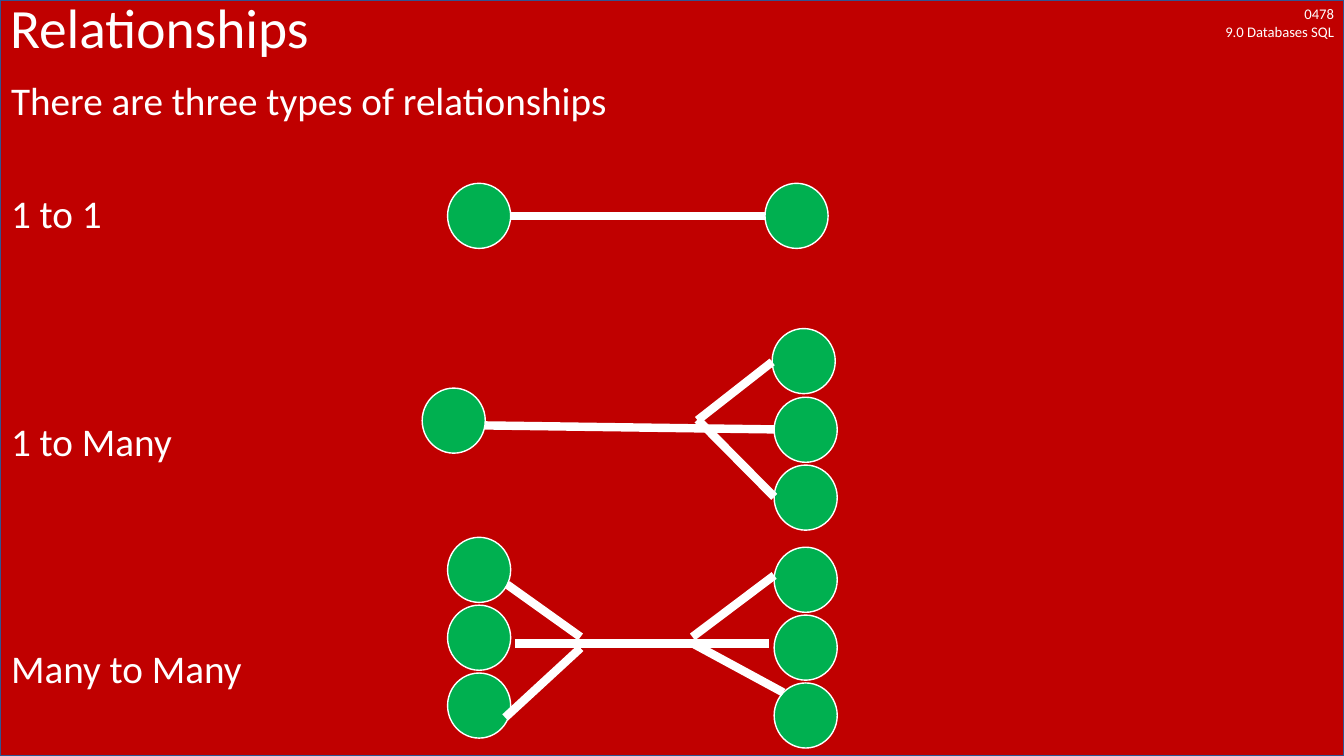
import pptx
import pptx.util
import pptx.dml.color
import pptx.enum.shapes
import pptx.enum.text
import pptx.oxml.ns
import lxml.etree

Cm = pptx.util.Cm
Pt = pptx.util.Pt
RGB = pptx.dml.color.RGBColor
SHAPE = pptx.enum.shapes.MSO_SHAPE
ALIGN = pptx.enum.text.PP_ALIGN

RED = RGB(0xC0, 0x00, 0x00)
BLUE = RGB(0x32, 0x54, 0x91)
GREEN = RGB(0x00, 0xB0, 0x50)
WHITE = RGB(0xFF, 0xFF, 0xFF)
WIDE, HIGH = Cm(33.87), Cm(19.05)

deck = pptx.Presentation()
deck.slide_width, deck.slide_height = WIDE, HIGH
slide = deck.slides.add_slide(deck.slide_layouts[5])
shapes = slide.shapes


def add_run(para, text, size):
    run = para.add_run()
    run.text = text
    run.font.name = "Calibri"
    run.font.size = Pt(size)
    run.font.color.rgb = WHITE


def add_form(kind, left, top, width, height, fill, line):
    form = shapes.add_shape(kind, left, top, width, height)
    form.shadow.inherit = False
    form.fill.solid()
    form.fill.fore_color.rgb = fill
    form.line.color.rgb = line
    form.line.width = Pt(1)
    return form


# Red backdrop, behind the title
title = shapes.title
back = add_form(SHAPE.RECTANGLE, 0, 0, WIDE, HIGH, RED, BLUE)
title.element.addprevious(back.element)

# Title
title.left, title.top, title.width, title.height = 0, 0, WIDE, Cm(1.55)
frame = title.text_frame
frame.auto_size = pptx.enum.text.MSO_AUTO_SIZE.NONE
frame.vertical_anchor = pptx.enum.text.MSO_ANCHOR.MIDDLE
para = frame.paragraphs[0]
para.alignment = ALIGN.LEFT
para.line_spacing = 0.9
add_run(para, "Relationships", 39.6)

# Course label
label = shapes.add_textbox(Cm(27.58), 0, Cm(6.29), Cm(1.15))
label.text_frame.word_wrap = True
para = label.text_frame.paragraphs[0]
para.alignment = ALIGN.RIGHT
add_run(para, "0478", 10.5)
para.add_line_break()
add_run(para, "9.0 Databases SQL", 10.5)

# Body text: each entry with the space above it in points
body = shapes.add_textbox(Cm(0.03), Cm(1.93), Cm(33.84), Cm(17.1))
frame = body.text_frame
frame.word_wrap = True
rows = [
    ("There are three types of relationships", 10),
    ("1 to 1", 50.8),
    ("1 to Many", 132.3),
    ("Many to Many", 132.3),
]
for i, (text, gap) in enumerate(rows):
    para = frame.add_paragraph() if i else frame.paragraphs[0]
    para.line_spacing = 0.9
    para.space_before = Pt(gap)
    add_run(para, text, 28)

# Stacks of circles: left, top, count
stacks = [
    (11.28, 4.62, 1), (19.28, 4.62, 1),
    (10.64, 9.78, 1), (19.46, 8.28, 1), (19.51, 10.01, 2),
    (11.28, 13.54, 3), (19.51, 13.79, 3),
]
for left, top, count in stacks:
    for i in range(count):
        add_form(SHAPE.OVAL, Cm(left), Cm(top + 1.71 * i),
                 Cm(1.59), Cm(1.64), GREEN, WHITE)

# Links: start x, start y, end x, end y
links = [
    # 1 to 1
    (12.88, 5.44, 19.28, 5.44),
    # 1 to Many
    (17.58, 10.59, 19.46, 9.12),
    (12.22, 10.72, 19.51, 10.82),
    (17.58, 10.57, 19.51, 12.52),
    # Many to Many
    (12.98, 16.21, 19.38, 16.21),
    (17.45, 16.05, 19.51, 14.5),
    (12.73, 18.08, 14.63, 16.33),
    (12.78, 14.73, 14.63, 16.05),
    (19.74, 17.45, 17.45, 16.21),
]
for ends in links:
    link = shapes.add_connector(pptx.enum.shapes.MSO_CONNECTOR.STRAIGHT,
                                *[Cm(end) for end in ends])
    link.line.color.rgb = WHITE
    link.line.width = Pt(6)
    props = link.element.find(pptx.oxml.ns.qn("p:spPr"))
    lxml.etree.SubElement(props, pptx.oxml.ns.qn("a:effectLst"))

deck.save("out.pptx")
